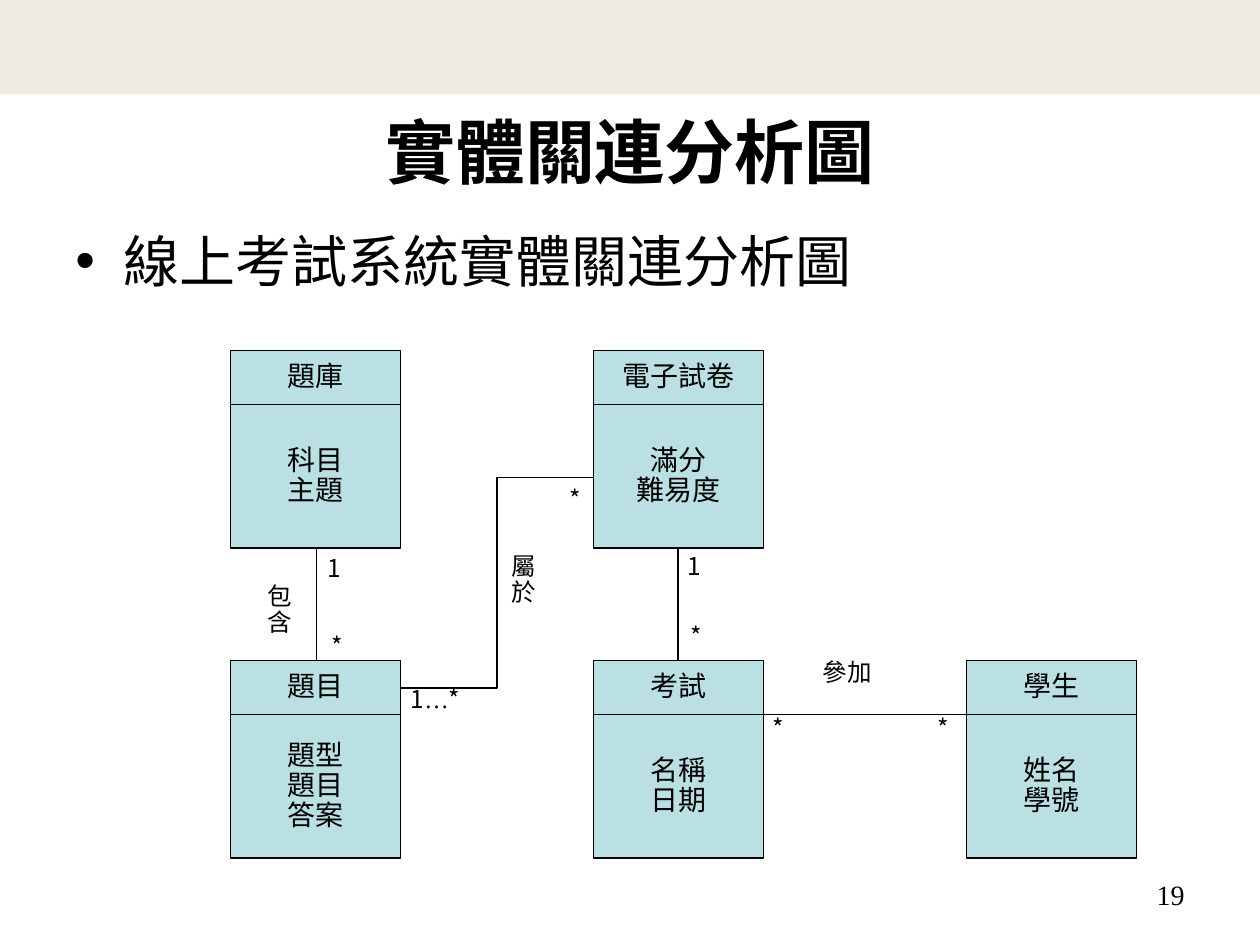
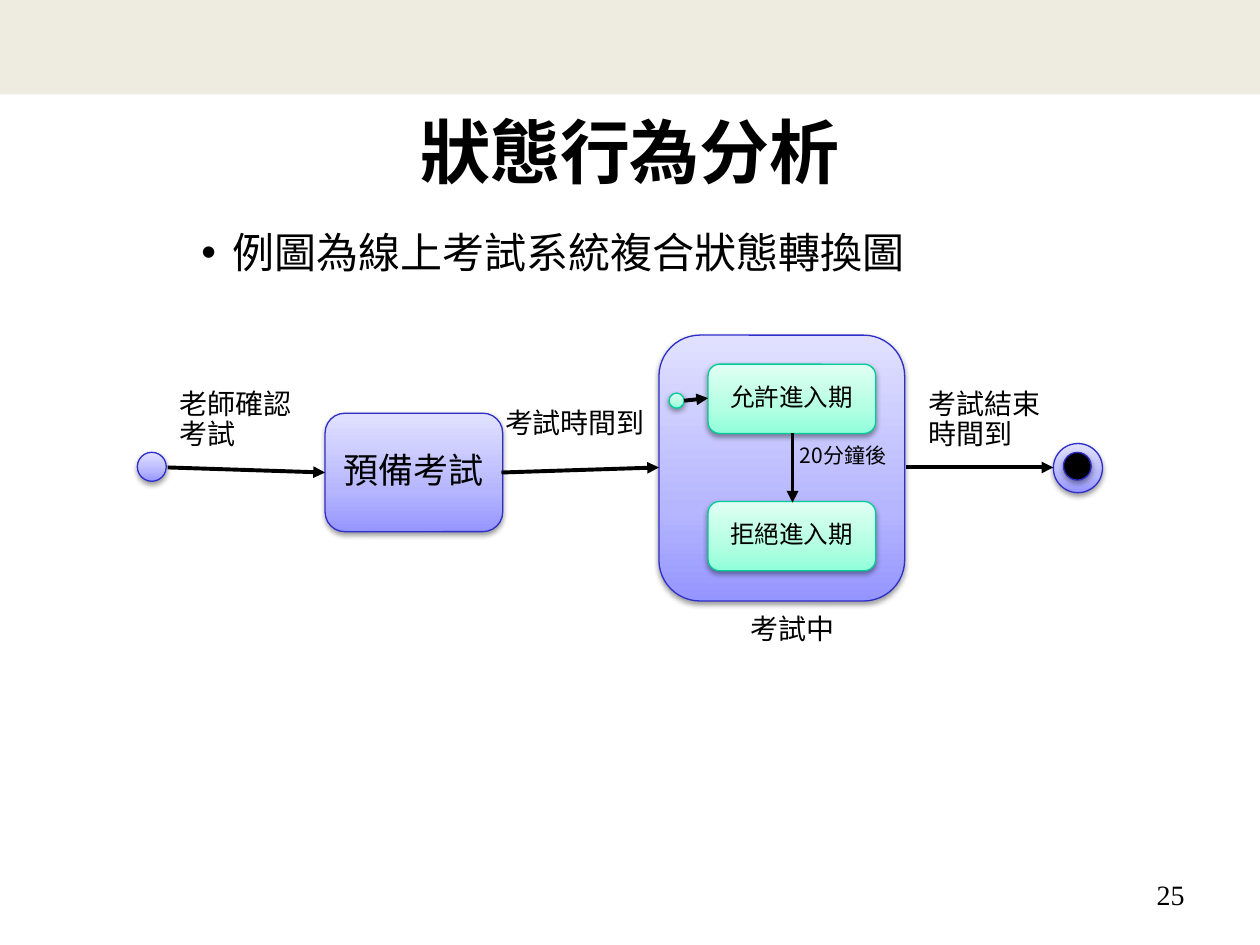
from copy import deepcopy

from lxml import etree
from pptx import Presentation
from pptx.dml.color import RGBColor
from pptx.enum.shapes import MSO_CONNECTOR, MSO_SHAPE
from pptx.enum.text import MSO_ANCHOR, PP_ALIGN
from pptx.oxml.ns import qn
from pptx.util import Inches, Pt

RECT, OVAL, ROUND = MSO_SHAPE.RECTANGLE, MSO_SHAPE.OVAL, MSO_SHAPE.ROUNDED_RECTANGLE
STRAIGHT, ELBOW = MSO_CONNECTOR.STRAIGHT, MSO_CONNECTOR.ELBOW
LEFT, CENTER, RIGHT = PP_ALIGN.LEFT, PP_ALIGN.CENTER, PP_ALIGN.RIGHT
TOP, MIDDLE = MSO_ANCHOR.TOP, MSO_ANCHOR.MIDDLE

CJK, HEADING, SERIF = "Noto Sans CJK SC", "Arial", "Times New Roman"
BLACK, BAND, ENTITY = "000000", "EEECE1", "BBE0E3"
VIOLET = ("2E2ECB", ("9595FF", "B6B6FF", "E1E1FF"))
MINT = ("00CC98", ("90FFDA", "B2FFE3", "E0FFF4"))
rgb = RGBColor.from_string


def write(shape, text, size, face=CJK, align=LEFT, anchor=TOP, spacing=0.89,
          bold=False, inset=(0.1, 0.05)):
    frame = shape.text_frame
    frame.word_wrap = True
    frame.vertical_anchor = anchor
    frame.margin_left = frame.margin_right = Inches(inset[0])
    frame.margin_top = frame.margin_bottom = Inches(inset[1])
    frame.text = text
    for paragraph in frame.paragraphs:
        paragraph.alignment = align
        paragraph.line_spacing = spacing
        font = paragraph.font
        font.size = Pt(size)
        font.bold = bold
        font.color.rgb = rgb(BLACK)
        font.name = face
        defaults = paragraph._p.pPr.find(qn("a:defRPr"))
        etree.SubElement(defaults, qn("a:ea"), typeface=CJK)
    return paragraph


def link(slide, x1, y1, x2, y2, width, kind=STRAIGHT, arrow=False):
    connector = slide.shapes.add_connector(
        kind, Inches(x1), Inches(y1), Inches(x2), Inches(y2))
    connector.line.color.rgb = rgb(BLACK)
    connector.line.width = Pt(width)
    if arrow:
        etree.SubElement(connector.line._get_or_add_ln(), qn("a:tailEnd"), type="triangle")
    etree.SubElement(connector._element.spPr, qn("a:effectLst"))


prs = Presentation()
prs.slide_width, prs.slide_height = Inches(10), Inches(7.5)

pages = []
for title, topic, topic_size, indent, hanging, number in [
    ("實體關連分析圖", "線上考試系統實體關連分析圖", 32, 0.38, 0.38, "19"),
    ("狀態行為分析", "例圖為線上考試系統複合狀態轉換圖", 24, 1.25, 0.25, "25"),
]:
    page = prs.slides.add_slide(prs.slide_layouts[6])
    pages.append(page)
    band = page.shapes.add_shape(RECT, 0, 0, prs.slide_width, Inches(0.75))
    band.shadow.inherit = False
    band.fill.solid()
    band.fill.fore_color.rgb = rgb(BAND)
    band.line.fill.background()

    heading = page.shapes.add_textbox(Inches(0.5), Inches(0.76), Inches(9), Inches(0.87))
    write(heading, title, 40, HEADING, CENTER, MIDDLE, 1, True)

    body = page.shapes.add_textbox(Inches(0.5), Inches(1.75), Inches(9), Inches(4.95))
    bullet = write(body, topic, topic_size, HEADING, spacing=1)
    bullet.space_before = Pt(topic_size * 0.2)
    properties = bullet._p.pPr
    properties.set("marL", str(Inches(indent)))
    properties.set("indent", str(-Inches(hanging)))
    for tag, attributes in [("a:buFont", {"typeface": HEADING}), ("a:buChar", {"char": "•"})]:
        properties.insert(len(properties) - 1, etree.Element(qn(tag), attributes))

    footer = page.shapes.add_textbox(Inches(7.17), Inches(6.95), Inches(2.33), Inches(0.4))
    write(footer, number, 16, SERIF, RIGHT)

entity_page, state_page = pages

for x, y, entity, attributes in [
    (1.83, 2.78, "題庫", "科目\n主題"),
    (1.83, 5.24, "題目", "題型\n題目\n答案"),
    (4.71, 2.78, "電子試卷", "滿分\n難易度"),
    (4.71, 5.24, "考試", "名稱\n日期"),
    (7.67, 5.24, "學生", "姓名\n學號"),
]:
    for top, height, text in [(y, 0.44, entity), (y + 0.43, 1.14, attributes)]:
        compartment = entity_page.shapes.add_shape(
            RECT, Inches(x), Inches(top), Inches(1.35), Inches(height))
        compartment.shadow.inherit = False
        compartment.fill.solid()
        compartment.fill.fore_color.rgb = rgb(ENTITY)
        compartment.line.color.rgb = rgb(BLACK)
        compartment.line.width = Pt(0.75)
        write(compartment, text, 16, align=CENTER, anchor=MIDDLE, inset=(0.09, 0.04))

for x in (2.51, 5.38):
    link(entity_page, x, 4.36, x, 5.24, 0.75)
link(entity_page, 3.18, 5.46, 4.71, 3.79, 0.75, ELBOW)
link(entity_page, 7.67, 5.67, 6.06, 5.67, 0.75)

for x, y, width, height, text in [
    (6.44, 5.2, 1.06, 0.45, "參加"),
    (6.04, 5.65, 0.32, 0.45, "*"),
    (7.35, 5.65, 0.32, 0.45, "*"),
    (2.54, 5, 0.32, 0.45, "*"),
    (2.51, 4.38, 0.37, 0.45, "1"),
    (4.43, 3.83, 0.32, 0.45, "*"),
    (5.37, 4.36, 0.37, 0.45, "1"),
    (5.39, 4.92, 0.32, 0.26, "*"),
    (3.97, 4.36, 0.49, 0.78, "屬\n於"),
    (2.03, 4.6, 0.48, 0.78, "包\n含"),
]:
    relation = entity_page.shapes.add_textbox(
        Inches(x), Inches(y), Inches(width), Inches(height))
    write(relation, text, 14, inset=(0.09, 0.04))

one_to_many = entity_page.shapes.add_textbox(
    Inches(3.17), Inches(5.42), Inches(0.62), Inches(0.45))
multiplicity = write(one_to_many, "1", 14, inset=(0.09, 0.04))
for mark, face in [("…", SERIF), ("*", CJK)]:
    run = multiplicity.add_run()
    run.text = mark
    run.font.name = face
    etree.SubElement(run._r.rPr, qn("a:ea"), typeface=face)

for kind, x, y, width, height, (outline, shades), text, size in [
    (OVAL, 1.09, 3.59, 0.23, 0.23, VIOLET, "", 0),
    (ROUND, 2.58, 3.28, 1.41, 0.94, VIOLET, "預備考試", 20),
    (ROUND, 5.23, 2.66, 1.95, 2.11, VIOLET, "", 0),
    (OVAL, 8.36, 3.52, 0.39, 0.39, VIOLET, "", 0),
    (OVAL, 8.44, 3.59, 0.22, 0.22, (VIOLET[0], None), "", 0),
    (OVAL, 5.31, 3.12, 0.12, 0.12, MINT, "", 0),
    (ROUND, 5.62, 2.89, 1.33, 0.55, MINT, "允許進入期", 14),
    (ROUND, 5.62, 3.98, 1.33, 0.55, MINT, "拒絕進入期", 14),
]:
    state = state_page.shapes.add_shape(
        kind, Inches(x), Inches(y), Inches(width), Inches(height))
    state.line.color.rgb = rgb(outline)
    state.line.width = Pt(0.75)
    if shades:
        state.fill.gradient()
        state.fill.gradient_angle = 90
        stops = state._element.spPr.find(".//" + qn("a:gsLst"))
        stops.insert(1, deepcopy(stops[0]))
        for stop, position, shade in zip(state.fill.gradient_stops, (0, 0.35, 1), shades):
            stop.position = position
            stop.color.rgb = rgb(shade)
    else:
        state.fill.solid()
        state.fill.fore_color.rgb = rgb(BLACK)
    state.shadow.inherit = False
    effects = state._element.spPr.find(qn("a:effectLst"))
    shadow = etree.SubElement(
        effects, qn("a:outerShdw"), blurRad=str(Pt(3.1)), dist=str(Pt(1.6)),
        dir="5400000", rotWithShape="0")
    tint = etree.SubElement(shadow, qn("a:srgbClr"), val=BLACK)
    etree.SubElement(tint, qn("a:alpha"), val="38000")
    if text:
        write(state, text, size, align=CENTER, anchor=MIDDLE)

for x1, y1, x2, y2 in [
    (1.33, 3.71, 2.58, 3.75),
    (3.98, 3.75, 5.23, 3.71),
    (7.19, 3.71, 8.36, 3.71),
    (6.29, 3.44, 6.29, 3.99),
    (5.43, 3.18, 5.62, 3.16),
]:
    link(state_page, x1, y1, x2, y2, 2.25, arrow=True)

for x, y, width, height, text, size in [
    (1.33, 3.05, 1.17, 0.58, "老師確認考試", 16),
    (3.91, 3.2, 1.72, 0.34, "考試時間到", 16),
    (7.27, 3.05, 1.41, 0.58, "考試結束\n時間到", 16),
    (5.86, 4.84, 1.25, 0.34, "考試中", 16),
    (6.25, 3.49, 1.25, 0.28, "20分鐘後", 12),
]:
    event = state_page.shapes.add_textbox(
        Inches(x), Inches(y), Inches(width), Inches(height))
    write(event, text, size)

prs.save("out.pptx")
